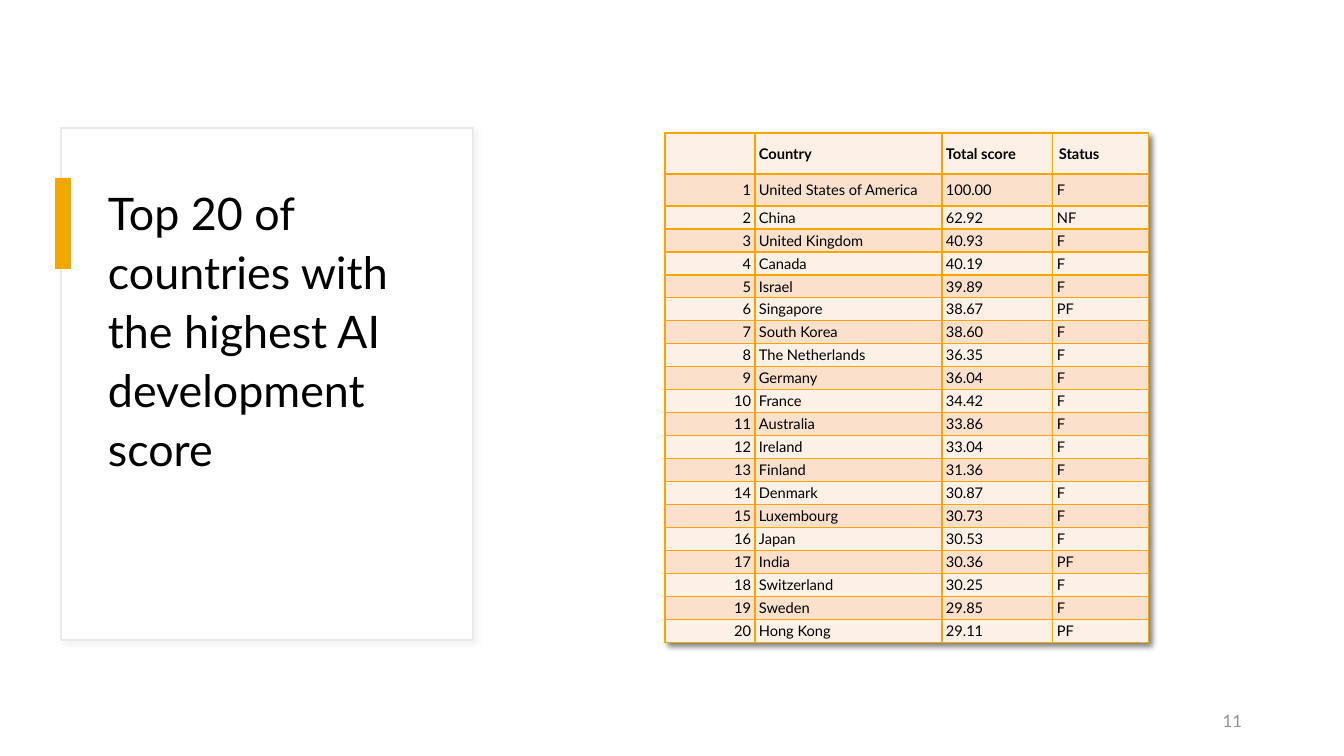
from dataclasses import dataclass

from lxml import etree
from pptx import Presentation
from pptx.dml.color import RGBColor
from pptx.enum.shapes import MSO_SHAPE
from pptx.enum.text import MSO_ANCHOR, PP_ALIGN
from pptx.oxml import parse_xml
from pptx.oxml.ns import nsdecls, qn
from pptx.util import Pt

RECT = MSO_SHAPE.RECTANGLE
MIDDLE = MSO_ANCHOR.MIDDLE
LEFT = PP_ALIGN.LEFT
RIGHT = PP_ALIGN.RIGHT
PX = 9071


@dataclass(frozen=True)
class Theme:
    font: str = "Lato"
    ink: str = "000000"
    paper: str = "FFFFFF"
    edge: str = "E9E9E9"
    gold: str = "F5A700"
    pale: str = "FDF1E7"
    peach: str = "FBE1CC"
    grey: str = "929292"
    shade: str = "D9D9D9"
    title: float = 32
    body: float = 10.5
    small: float = 12


THEME = Theme()
HEADS = ("", "Country", "Total score", "Status")
SCORES = (
    ("United States of America", "100.00", "F"),
    ("China", "62.92", "NF"),
    ("United Kingdom", "40.93", "F"),
    ("Canada", "40.19", "F"),
    ("Israel", "39.89", "F"),
    ("Singapore", "38.67", "PF"),
    ("South Korea", "38.60", "F"),
    ("The Netherlands", "36.35", "F"),
    ("Germany", "36.04", "F"),
    ("France", "34.42", "F"),
    ("Australia", "33.86", "F"),
    ("Ireland", "33.04", "F"),
    ("Finland", "31.36", "F"),
    ("Denmark", "30.87", "F"),
    ("Luxembourg", "30.73", "F"),
    ("Japan", "30.53", "F"),
    ("India", "30.36", "PF"),
    ("Switzerland", "30.25", "F"),
    ("Sweden", "29.85", "F"),
    ("Hong Kong", "29.11", "PF"),
)
WIDTHS = (90, 187, 111, 96)
HEIGHTS = (41, 32) + (23,) * 19


def scale(*sizes):
    return [size * PX for size in sizes]


def color(code):
    return RGBColor.from_string(code)


def style(para, size, code, bold=False, align=LEFT):
    para.alignment = align
    font = para.font
    font.name = THEME.font
    font.size = Pt(size)
    font.bold = bold
    font.color.rgb = color(code)


def shadow(code, alpha, blur, dist, angle):
    return parse_xml(
        f'<a:effectLst {nsdecls("a")}><a:outerShdw blurRad="{Pt(blur)}" '
        f'dist="{Pt(dist)}" dir="{angle * 60000}" algn="tl" rotWithShape="0">'
        f'<a:srgbClr val="{code}"><a:alpha val="{alpha * 1000}"/></a:srgbClr>'
        f'</a:outerShdw></a:effectLst>')


def panel(slide, box, fill, line=None):
    shape = slide.shapes.add_shape(RECT, *scale(*box))
    shape.shadow.inherit = False
    shape.fill.solid()
    shape.fill.fore_color.rgb = color(fill)
    if line:
        shape.line.color.rgb = color(line)
        shape.line.width = Pt(1)
    else:
        shape.line.fill.background()
    return shape


def label(slide, box, text, size, code, align=LEFT):
    frame = slide.shapes.add_textbox(*scale(*box)).text_frame
    frame.word_wrap = True
    para = frame.paragraphs[0]
    para.text = text
    style(para, size, code, align=align)
    return frame


def card(slide, box):
    x, y, w, h = box
    props = panel(slide, box, THEME.paper, THEME.edge).element.spPr
    props.replace(props.find(qn("a:effectLst")),
                  shadow(THEME.shade, 30, 4, 3, 45))
    panel(slide, (x - 6, y + 50, 16, 91), THEME.gold)
    frame = label(slide, (x + 37, y + 47, w - 70, 303),
                  "Top 20 of countries with the highest AI development score",
                  THEME.title, THEME.ink)
    para = frame.paragraphs[0]
    para.line_spacing = 1.1
    para.space_before = Pt(10)


def border(cell):
    props = cell._tc.get_or_add_tcPr()
    for index, side in enumerate(("lnL", "lnR", "lnT", "lnB")):
        line = etree.Element(qn(f"a:{side}"), w=str(Pt(1)))
        fill = etree.SubElement(line, qn("a:solidFill"))
        etree.SubElement(fill, qn("a:srgbClr"), val=THEME.gold)
        props.insert(index, line)


def fill_cell(cell, text, row, col):
    head = row == 0
    pad = 6 if head and col == 3 else 4
    cell.margin_left = cell.margin_right = pad * PX
    cell.margin_top = cell.margin_bottom = pad // 2 * PX
    cell.vertical_anchor = MIDDLE
    cell.fill.solid()
    cell.fill.fore_color.rgb = color(THEME.peach if row % 2 else THEME.pale)
    border(cell)
    para = cell.text_frame.paragraphs[0]
    if text:
        para.text = text
    align = RIGHT if col == 0 and not head else LEFT
    style(para, THEME.body, THEME.ink, head, align)


def ranking(slide, box):
    rows = [HEADS] + [(str(rank), *score)
                      for rank, score in enumerate(SCORES, 1)]
    table = slide.shapes.add_table(len(rows), len(HEADS), *scale(*box)).table
    table._tbl.tblPr.insert(0, shadow(THEME.ink, 50, 4, 3, 45))
    for column, width in zip(table.columns, WIDTHS):
        column.width = width * PX
    for line, height in zip(table.rows, HEIGHTS):
        line.height = height * PX
    for row, texts in enumerate(rows):
        for col, text in enumerate(texts):
            fill_cell(table.cell(row, col), text, row, col)


def number(slide, box):
    frame = label(slide, box, "11", THEME.small, THEME.grey, RIGHT)
    frame.vertical_anchor = MIDDLE
    frame.paragraphs[0].space_after = Pt(6)


def main():
    deck = Presentation()
    deck.slide_width, deck.slide_height = scale(1344, 756)
    slide = deck.slides.add_slide(deck.slide_layouts[6])
    card(slide, (61, 128, 412, 512))
    ranking(slide, (665, 133, sum(WIDTHS), sum(HEIGHTS)))
    number(slide, (950, 701, 302, 40))
    deck.save("out.pptx")


if __name__ == "__main__":
    main()
